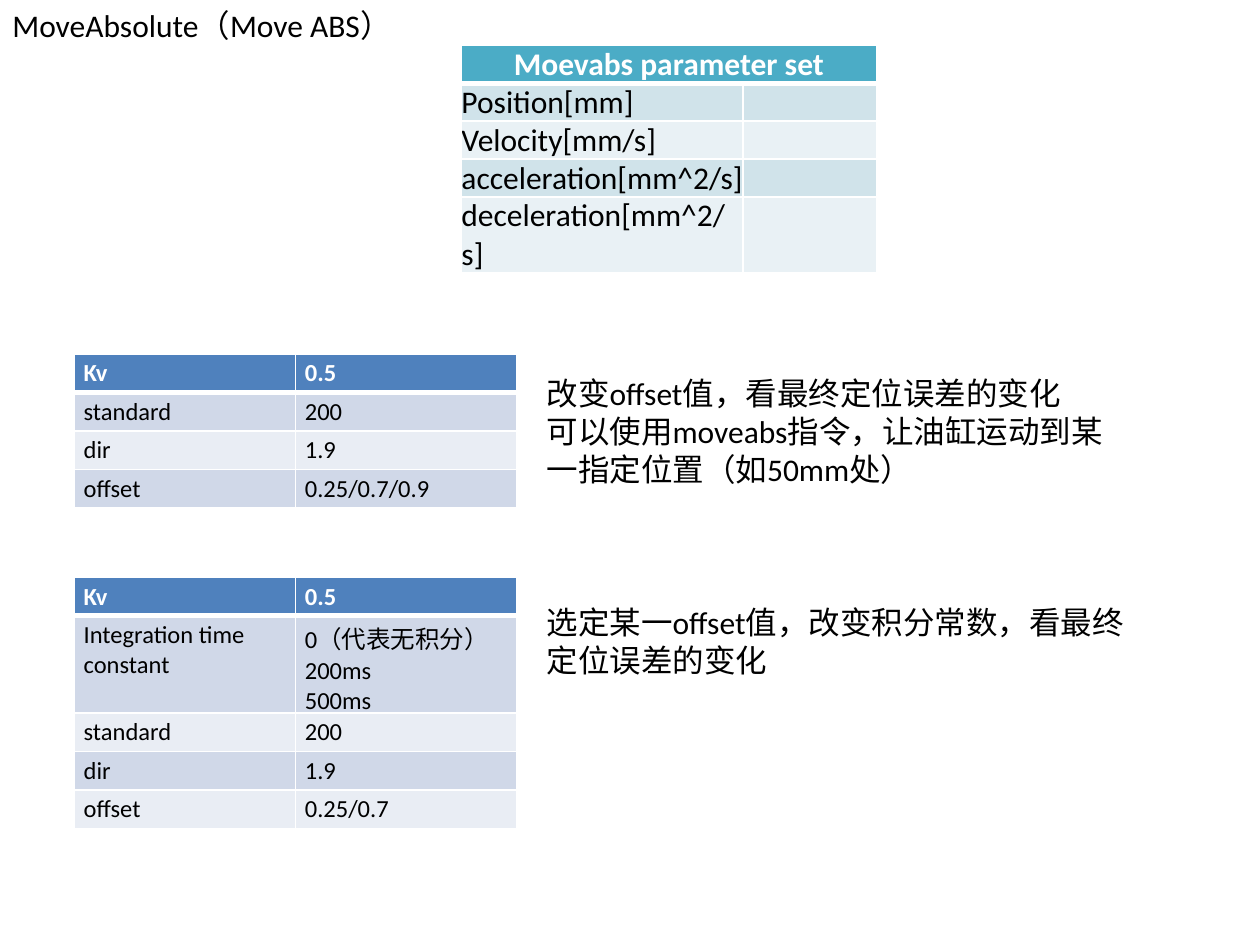
"""Builds the MoveAbsolute slide with its parameter and offset tables."""
from lxml.etree import SubElement
from pptx import Presentation
from pptx.dml.color import RGBColor
from pptx.enum.text import MSO_ANCHOR, MSO_AUTO_SIZE, PP_ALIGN
from pptx.oxml.ns import qn
from pptx.util import Pt

COLORS = {
    "text": "000000", "white": "FFFFFF",
    "teal": "4BACC6", "teal_dark": "D0E3EA", "teal_light": "E9F1F5",
    "blue": "4F81BD", "blue_dark": "D0D8E8", "blue_light": "E9EDF4",
}


def format_text(frame, size, color, bold=False):
    for paragraph in frame.paragraphs:
        for run in paragraph.runs:
            run.font.name = "Calibri"
            run.font.size = Pt(size)
            run.font.bold = bold
            run.font.color.rgb = RGBColor.from_string(COLORS[color])


def add_grid(slide, rows, left, top, widths, heights, palette, size, margins, anchor):
    table = slide.shapes.add_table(
        len(rows), len(widths), Pt(left), Pt(top), Pt(sum(widths)), Pt(sum(heights))
    ).table
    table.first_row = table.horz_banding = False
    for column, width in zip(table.columns, widths):
        column.width = Pt(width)
    for r, (values, height) in enumerate(zip(rows, heights)):
        table.rows[r].height = Pt(height)
        fill = palette if r == 0 else palette + ("_dark" if r % 2 else "_light")
        for c, value in enumerate(values):
            cell = table.cell(r, c)
            cell.text_frame.text = value
            cell.margin_left = cell.margin_right = Pt(margins[0])
            cell.margin_top = cell.margin_bottom = Pt(margins[1])
            cell.vertical_anchor = anchor
            format_text(cell.text_frame, size, "text" if r else "white", r == 0)
            properties = cell._tc.get_or_add_tcPr()
            for side in ("L", "R", "T", "B"):
                heavy = (r, side) in ((0, "B"), (1, "T"))
                border = SubElement(properties, qn(f"a:ln{side}"), w=str(Pt(3 if heavy else 1)))
                solid = SubElement(border, qn("a:solidFill"))
                SubElement(solid, qn("a:srgbClr"), val=COLORS["white"])
            cell.fill.solid()
            cell.fill.fore_color.rgb = RGBColor.from_string(COLORS[fill])
    return table


presentation = Presentation()
presentation.slide_width, presentation.slide_height = Pt(720), Pt(540)
slide = presentation.slides.add_slide(presentation.slide_layouts[6])

notes = [
    ("MoveAbsolute（Move ABS）", 0, 0, 360, 29),
    ("改变offset值，看最终定位误差的变化\n可以使用moveabs指令，让油缸运动到某一指定位置（如50mm处）",
     305.3, 210.2, 341.3, 72.7),
    ("选定某一offset值，改变积分常数，看最终定位误差的变化", 305.3, 341.3, 361.4, 51),
]
for wording, left, top, width, height in notes:
    note = slide.shapes.add_textbox(Pt(left), Pt(top), Pt(width), Pt(height)).text_frame
    note.word_wrap = True
    note.auto_size = MSO_AUTO_SIZE.SHAPE_TO_FIT_TEXT
    note.text = wording
    format_text(note, 18, "text")

parameter_rows = [
    ("Moevabs parameter set", ""),
    ("Position[mm]", ""),
    ("Velocity[mm/s]", ""),
    ("acceleration[mm^2/s]", ""),
    ("deceleration[mm^2/s]", ""),
]
parameters = add_grid(slide, parameter_rows, 263.7, 26, [160.8, 76.3], [21] * 5,
                      "teal", 18, (0, 0), MSO_ANCHOR.MIDDLE)
heading = parameters.cell(0, 0)
heading.merge(parameters.cell(0, 1))
heading.text_frame.paragraphs[0].alignment = PP_ALIGN.CENTER

offset_rows = [("Kv", "0.5"), ("standard", "200"), ("dir", "1.9"), ("offset", "0.25/0.7/0.9")]
integration_rows = [
    ("Kv", "0.5"),
    ("Integration time constant", "0（代表无积分）\n200ms\n500ms"),
    ("standard", "200"),
    ("dir", "1.9"),
    ("offset", "0.25/0.7"),
]
for rows, top, heights in [
    (offset_rows, 202.3, [22] * 4),
    (integration_rows, 329.9, [22, 55, 22, 22, 22]),
]:
    add_grid(slide, rows, 42.6, top, [126.4, 126.4], heights,
             "blue", 14, (5.2, 2.6), MSO_ANCHOR.TOP)

presentation.save("out.pptx")
